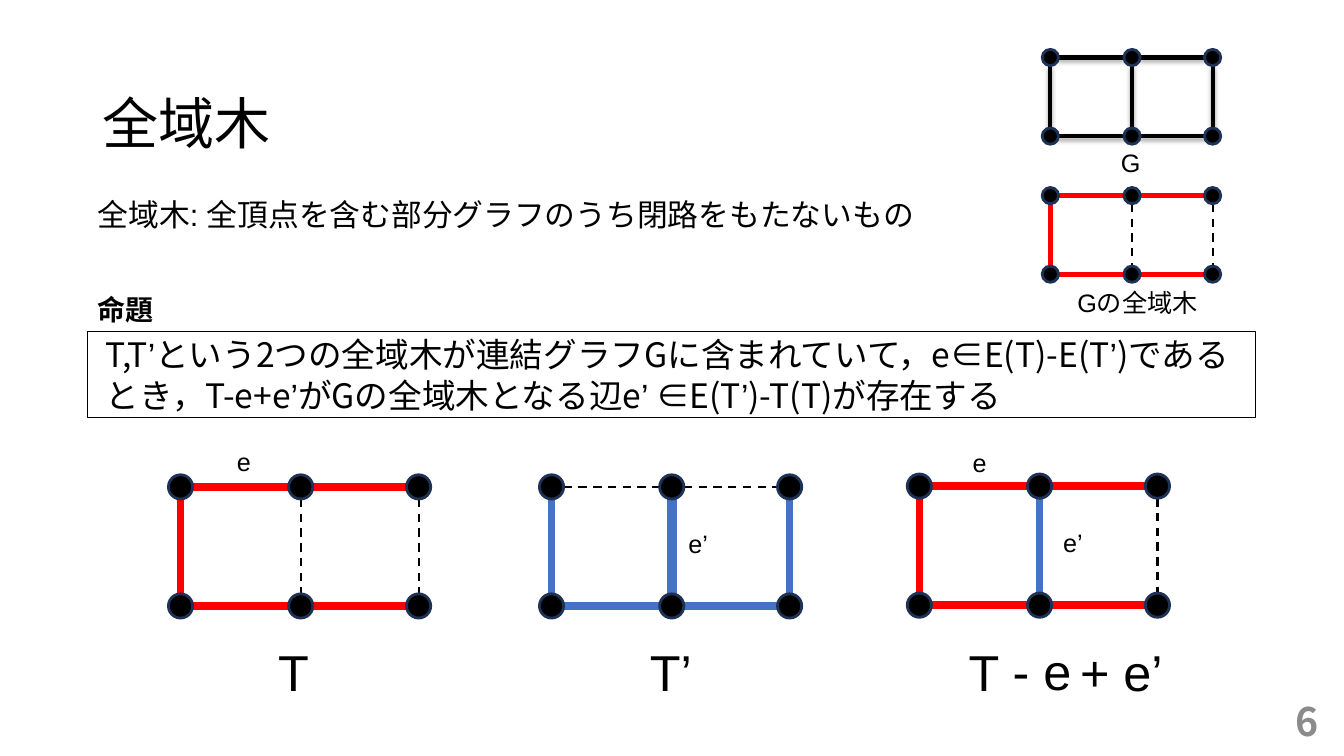
from lxml.etree import SubElement
from pptx import Presentation
from pptx.dml.color import RGBColor
from pptx.enum.dml import MSO_LINE
from pptx.enum.shapes import MSO_CONNECTOR, MSO_SHAPE
from pptx.enum.text import MSO_ANCHOR, MSO_AUTO_SIZE, PP_ALIGN
from pptx.oxml.ns import qn
from pptx.util import Cm, Pt

JAPANESE, LATIN = "Noto Sans CJK JP", "Arial"
BLACK, RED, BLUE, NAVY, GRAY = "000000", "FF0000", "4472C4", "1E3256", "8B8B8B"

TITLE = ["全域木"]
# Runs alternate between Japanese text and narrow prime marks
PROPOSITION = ["T,T", "’", "という2つの全域木が連結グラフGに含まれていて，e∈E(T)-E(T", "’",
               ")であるとき，T-e+e", "’", "がGの全域木となる辺e", "’", " ∈E(T", "’",
               ")-T(T)が存在する"]

# text, left, top, width, height (cm), size (pt), bold
LABELS = [
    ("全域木: 全頂点を含む部分グラフのうち閉路をもたないもの", 2.21, 4.8, 28.42, 1.19, 22, False),
    ("命題", 2.21, 7.24, 3.86, 1.12, 20, True),
    ("G", 28, 3.59, 4.42, 1.02, 18, False),
    ("Gの全域木", 26.9, 7.11, 4.42, 1.02, 18, False),
    ("e", 5.72, 11.13, 0.81, 1.02, 18, False),
    ("e’", 17.1, 13.18, 1.27, 1.02, 18, False),
    ("e", 24.26, 11.14, 0.81, 1.02, 18, False),
    ("e’", 26.54, 13.16, 1.27, 1.02, 18, False),
    ("T", 6.76, 16.03, 2.24, 1.8, 36, False),
    ("T’", 16.13, 16.03, 2.24, 1.8, 36, False),
    ("T", 24.16, 16.03, 2.24, 1.8, 36, False),
    ("- e", 25.27, 16, 6.05, 1.8, 36, False),
    ("+ e’", 26.97, 16.03, 4.93, 1.8, 36, False),
]

# Ends of each edge as (column, row)
EDGES = {
    "left": ((0, 0), (0, 1)), "middle": ((1, 0), (1, 1)), "right": ((2, 0), (2, 1)),
    "top 1": ((0, 0), (1, 0)), "top 2": ((1, 0), (2, 0)),
    "bottom 1": ((0, 1), (1, 1)), "bottom 2": ((1, 1), (2, 1)),
}

# column offsets, row offsets, dot diameter, bar length, bar height (cm)
LARGE = ((0, 3.03, 6), (0, 3), 0.61, 4.45, 0.81)
SMALL = ((0, 2.06, 4.09), (0, 1.98), 0.41, 3.02, 0.54)

# left and top dot centre (cm), scale, usual edge style, exceptions
GRAPHS = [
    (4.55, 12.27, LARGE, RED, {"middle": "dash", "right": "dash"}),
    (13.9, 12.27, LARGE, BLUE, {"top 1": "dash", "top 2": "dash", "middle": "outlined"}),
    (23.17, 12.25, LARGE, RED, {"middle": BLUE, "right": "dash"}),
    (26.47, 4.93, SMALL, RED, {"middle": "dash", "right": "dash"}),
    (26.47, 1.45, SMALL, "solid", {}),
]


def color(value):
    return RGBColor.from_string(value)


def place(shape, left, top, width, height):
    shape.left, shape.top = Cm(left), Cm(top)
    shape.width, shape.height = Cm(width), Cm(height)


def write(para, text, size, font, ink=BLACK, bold=False, asian_font=JAPANESE):
    span = para.add_run()
    span.text = text
    span.font.size = Pt(size)
    span.font.name = font
    span.font.bold = bold
    span.font.color.rgb = color(ink)
    SubElement(span.font._element, qn("a:ea")).set("typeface", asian_font)


def fill_placeholder(holder, texts, size, line_spacing):
    frame = holder.text_frame
    frame.word_wrap = True
    frame.auto_size = MSO_AUTO_SIZE.NONE
    frame.vertical_anchor = MSO_ANCHOR.MIDDLE
    para = frame.paragraphs[0]
    para.alignment = PP_ALIGN.LEFT
    para.line_spacing = line_spacing
    for text in texts:
        font = LATIN if text == "’" else JAPANESE
        write(para, text, size, font, asian_font=font)
    return para


def add_label(page, text, left, top, width, height, size, bold,
              font=LATIN, ink=BLACK, align=PP_ALIGN.LEFT):
    box = page.shapes.add_textbox(Cm(left), Cm(top), Cm(width), Cm(height))
    box.text_frame.word_wrap = True
    para = box.text_frame.paragraphs[0]
    para.alignment = align
    write(para, text, size, font, ink, bold)
    return box


def add_filled(shapes, kind, center_x, center_y, width, height, fill, outline=None):
    """Add a shape around its centre, with a 2 pt outline if a colour is given."""
    shape = shapes.add_shape(kind, Cm(center_x - width / 2), Cm(center_y - height / 2),
                             Cm(width), Cm(height))
    shape.shadow.inherit = False
    shape.fill.solid()
    shape.fill.fore_color.rgb = color(fill)
    if outline:
        shape.line.color.rgb = color(outline)
        shape.line.width = Pt(2)
    else:
        shape.line.fill.background()
    return shape


def add_thin_edge(shapes, start, end, radius, style):
    """Add a line that stops at the rims of its two dots."""
    (x1, y1), (x2, y2) = start, end
    trim_x, trim_y = (radius, 0) if y1 == y2 else (0, radius)
    line = shapes.add_connector(MSO_CONNECTOR.STRAIGHT, Cm(x1 + trim_x), Cm(y1 + trim_y),
                                Cm(x2 - trim_x), Cm(y2 - trim_y))
    line.line.color.rgb = color(BLACK)
    line.line.width = Pt(1.5 if style == "dash" else 3)
    effects = SubElement(line._element.spPr, qn("a:effectLst"))
    if style == "dash":
        line.line.dash_style = MSO_LINE.DASH
    else:
        shadow = SubElement(effects, qn("a:outerShdw"), blurRad="40000", dist="23000",
                            dir="5400000", rotWithShape="0")
        shade = SubElement(shadow, qn("a:srgbClr"), val=BLACK)
        SubElement(shade, qn("a:alpha"), val="35000")


def add_bar(shapes, start, end, length, height, style):
    (x1, y1), (x2, y2) = start, end
    outline = BLUE if style == "outlined" else None
    bar = add_filled(shapes, MSO_SHAPE.MATH_MINUS, (x1 + x2) / 2, (y1 + y2) / 2,
                     length, height, outline or style, outline)
    bar.rotation = 90 if x1 == x2 else 0


def add_graph(page, left, top, scale, usual, exceptions):
    columns, rows, diameter, length, height = scale
    shapes = page.shapes.add_group_shape().shapes
    dots = {(column, row): (left + x, top + y)
            for row, y in enumerate(rows) for column, x in enumerate(columns)}
    for name, (first, second) in EDGES.items():
        style = exceptions.get(name, usual)
        start, end = dots[first], dots[second]
        if style in ("dash", "solid"):
            add_thin_edge(shapes, start, end, diameter / 2, style)
        else:
            add_bar(shapes, start, end, length, height, style)
    for x, y in dots.values():
        add_filled(shapes, MSO_SHAPE.FLOWCHART_CONNECTOR, x, y, diameter, diameter, BLACK, NAVY)


def main():
    deck = Presentation()
    deck.slide_width, deck.slide_height = Cm(33.87), Cm(19.05)
    page = deck.slides.add_slide(deck.slide_layouts[1])

    title, body = page.placeholders
    place(title, 2.34, 1.4, 29.31, 3.56)
    fill_placeholder(title, TITLE, 40, 0.9)

    place(body, 2.21, 8.36, 29.44, 2.16)
    body.line.color.rgb = color(BLACK)
    body.line.width = Pt(0.75)
    body.text_frame.margin_left = Cm(0.46)
    para = fill_placeholder(body, PROPOSITION, 24, 1)
    para.space_before = Pt(10)
    settings = para._p.get_or_add_pPr()
    settings.set("marL", "0")
    settings.set("indent", "0")
    SubElement(settings, qn("a:buNone"))

    for graph in GRAPHS:
        add_graph(page, *graph)
    for label in LABELS:
        add_label(page, *label)
    number = add_label(page, "6", 25.86, 17.65, 7.62, 1.02, 28, True,
                       JAPANESE, GRAY, PP_ALIGN.RIGHT)
    number.text_frame.vertical_anchor = MSO_ANCHOR.MIDDLE

    deck.save("out.pptx")


if __name__ == "__main__":
    main()
